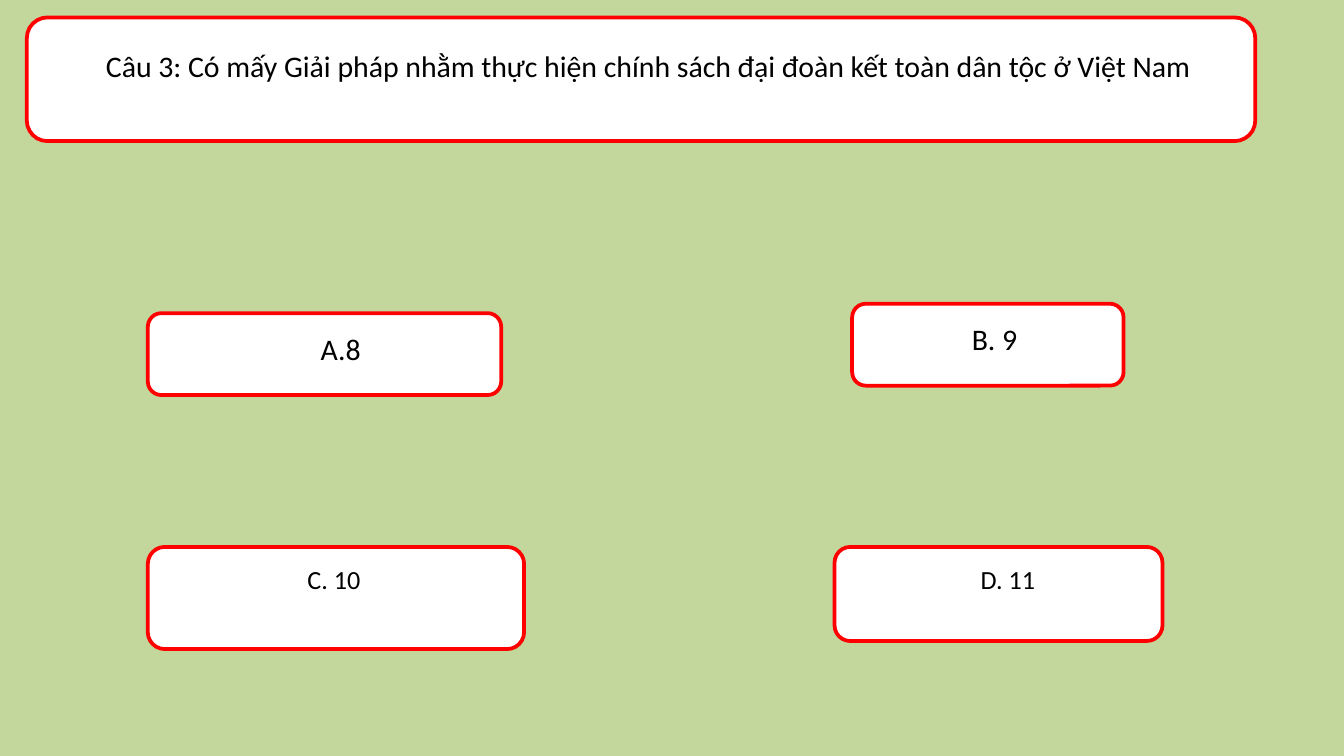
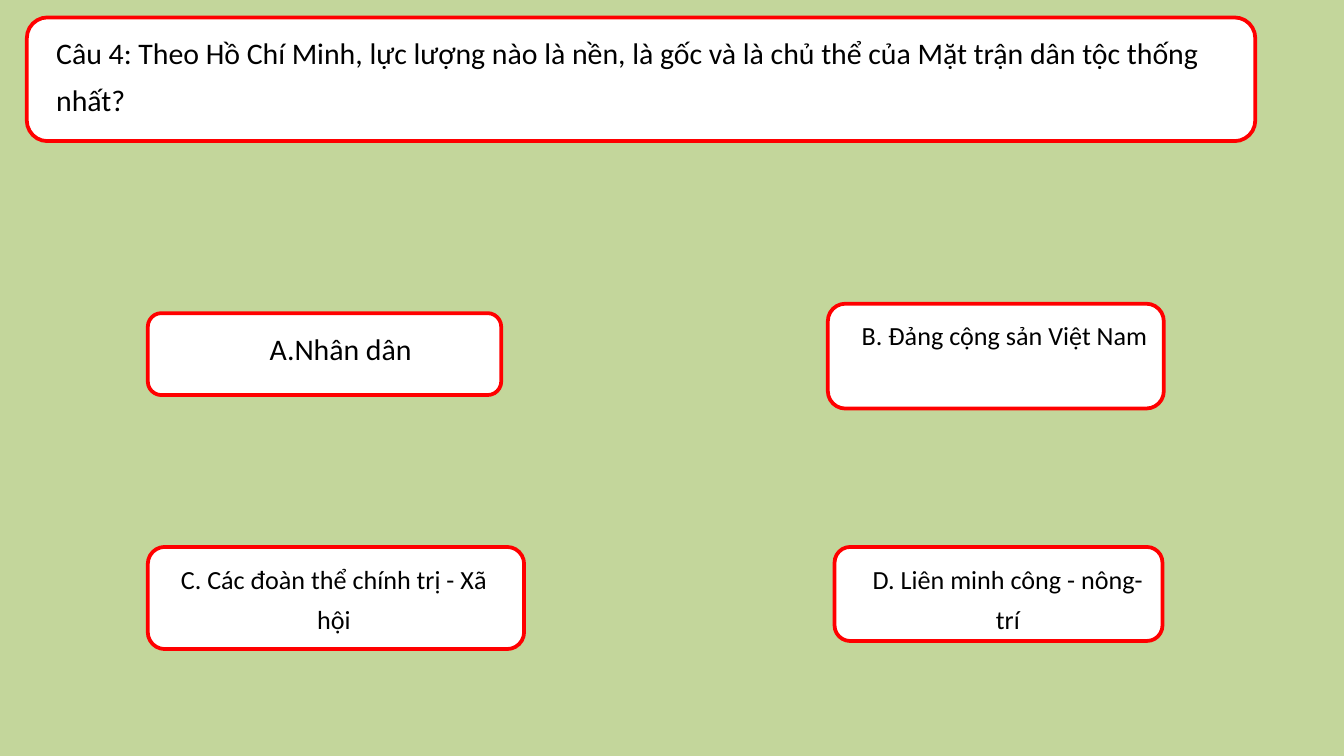
from pptx import Presentation
from pptx.dml.color import RGBColor
from pptx.enum.shapes import MSO_SHAPE
from pptx.enum.text import MSO_ANCHOR, PP_ALIGN
from pptx.util import Pt

PX = 4572
GREEN = RGBColor(0xC3, 0xD6, 0x9B)
RED = RGBColor(0xFF, 0x00, 0x00)
WHITE = RGBColor(0xFF, 0xFF, 0xFF)
BLACK = RGBColor(0x00, 0x00, 0x00)
ROUNDED = MSO_SHAPE.ROUNDED_RECTANGLE
LEFT, CENTER = PP_ALIGN.LEFT, PP_ALIGN.CENTER
TOP = MSO_ANCHOR.TOP

QUESTION_BOX = (40, 26, 1828, 184)
A_BOX = (220, 466, 526, 122)
C_BOX = (220, 814, 560, 152)
D_BOX = (1242, 814, 488, 140)
LARGE = {"size": Pt(16)}
SMALL = {"size": Pt(14)}
TIGHT = {"alignment": CENTER, "line_spacing": 0.8}
LOOSE = {"alignment": CENTER, "line_spacing": 1.3}
LOOSE_LEFT = {"alignment": LEFT, "line_spacing": 1.3}

QUIZ = [
    [
        ("Câu 3: Có mấy Giải pháp nhằm thực hiện chính sách đại đoàn kết toàn dân tộc ở Việt Nam",
         QUESTION_BOX, (24, 46, 1802, 126), LARGE, TIGHT),
        ("A.8", A_BOX, (30, 0, 514, 96), LARGE, LOOSE),
        ("C. 10", C_BOX, (2, 0, 550, 110), SMALL, LOOSE),
        ("B. 9", (1268, 452, 404, 122), (20, 0, 384, 110), LARGE, LOOSE),
        ("D. 11", D_BOX, (28, 0, 460, 110), SMALL, LOOSE),
    ],
    [
        ("Câu 4: Theo Hồ Chí Minh, lực lượng nào là nền, là gốc và là chủ thể của Mặt trận dân tộc thống nhất?",
         QUESTION_BOX, (24, 0, 1802, 170), LARGE, LOOSE_LEFT),
        ("A.Nhân dân", A_BOX, (30, 0, 514, 96), LARGE, LOOSE),
        ("C. Các đoàn thể chính trị - Xã hội", C_BOX, (2, 0, 550, 144), SMALL, LOOSE),
        ("B. Đảng cộng sản Việt Nam", (1232, 452, 500, 156), (26, 0, 474, 138), SMALL, LOOSE),
        ("D. Liên minh công - nông- trí", D_BOX, (28, 0, 460, 110), SMALL, LOOSE),
    ],
]


def emu(*lengths):
    return [length * PX for length in lengths]


def apply(target, values):
    for name, value in values.items():
        setattr(target, name, value)


def add_frame(group, box):
    frame = group.shapes.add_shape(ROUNDED, *emu(*box))
    frame.shadow.inherit = False
    frame.fill.solid()
    frame.fill.fore_color.rgb = WHITE
    frame.line.color.rgb = RED
    frame.line.width = Pt(2)


def add_label(group, box, text, font_format, para_format):
    label = group.shapes.add_textbox(*emu(*box))
    apply(label.text_frame, {"word_wrap": True, "vertical_anchor": TOP})
    para = label.text_frame.paragraphs[0]
    apply(para, para_format)
    span = para.add_run()
    span.text = text
    apply(span.font, {"name": "Calibri", **font_format})
    span.font.color.rgb = BLACK


def add_card(page, text, box, inner, font_format, para_format):
    left, top = box[:2]
    dx, dy, width, height = inner
    group = page.shapes.add_group_shape()
    add_frame(group, box)
    add_label(group, (left + dx, top + dy, width, height), text, font_format, para_format)


def add_quiz_page(deck, cards):
    page = deck.slides.add_slide(deck.slide_layouts[6])
    page.background.fill.solid()
    page.background.fill.fore_color.rgb = GREEN
    for card in cards:
        add_card(page, *card)


def main():
    deck = Presentation()
    deck.slide_width, deck.slide_height = emu(2000, 1125)
    for cards in QUIZ:
        add_quiz_page(deck, cards)
    deck.save("out.pptx")


if __name__ == "__main__":
    main()
